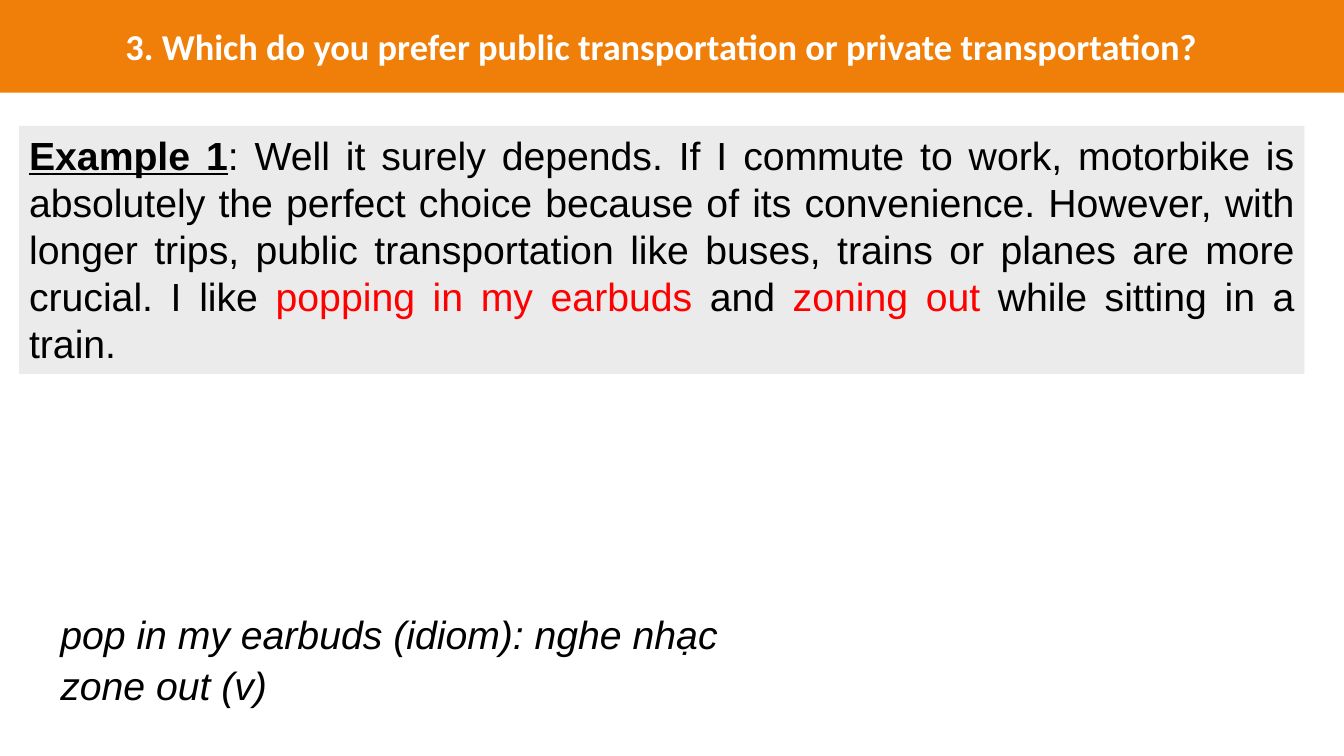
from dataclasses import dataclass

from pptx import Presentation
from pptx.dml.color import RGBColor
from pptx.enum.shapes import MSO_SHAPE
from pptx.enum.text import MSO_ANCHOR, MSO_AUTO_SIZE, PP_ALIGN
from pptx.shapes.autoshape import Shape
from pptx.slide import Slide
from pptx.util import Pt

RECTANGLE = MSO_SHAPE.RECTANGLE
TOP = MSO_ANCHOR.TOP
FIT_SHAPE = MSO_AUTO_SIZE.SHAPE_TO_FIT_TEXT
LEFT, CENTER, JUSTIFY = PP_ALIGN.LEFT, PP_ALIGN.CENTER, PP_ALIGN.JUSTIFY


@dataclass(frozen=True)
class Theme:
    orange: str = "F07F09"
    gray: str = "EBEBEB"
    white: str = "FFFFFF"
    black: str = "000000"
    red: str = "FF0000"
    heading_font: str = "Calibri"
    body_font: str = "Arial"
    heading_size: float = 26
    body_size: float = 28


THEME = Theme()


@dataclass(frozen=True)
class Box:
    left: float
    top: float
    width: float
    height: float

    def in_points(self) -> tuple[Pt, Pt, Pt, Pt]:
        return Pt(self.left), Pt(self.top), Pt(self.width), Pt(self.height)


@dataclass(frozen=True)
class Phrase:
    text: str
    color: str = THEME.black
    bold: bool = False
    underline: bool = False


@dataclass(frozen=True)
class Definition:
    text: str
    box: Box


HEADING = "3. Which do you prefer public transportation or private transportation?"
HEADING_BAND = Box(-14.4, -2.88, 974.4, 69.12)
HEADING_BOX = Box(-14.4, 13.68, 974.4, 38.88)
EXAMPLE_BOX = Box(13.68, 90, 918, 177.12)
EXAMPLE = [
    Phrase("Example 1", bold=True, underline=True),
    Phrase(
        ": Well it surely depends. If I commute to work, motorbike is absolutely "
        "the perfect choice because of its convenience. However, with longer trips, "
        "public transportation like buses, trains or planes are more crucial. I like "
    ),
    Phrase("popping in my earbuds ", THEME.red),
    Phrase("and "),
    Phrase("zoning out", THEME.red),
    Phrase(" while sitting in a train."),
]
DEFINITIONS = [
    Definition("pop in my earbuds (idiom): nghe nhạc", Box(36, 432.72, 490.32, 41.04)),
    Definition("zone out (v)", Box(36, 468.72, 164.16, 41.04)),
]


def add_panel(slide: Slide, box: Box, color: str) -> Shape:
    panel = slide.shapes.add_shape(RECTANGLE, *box.in_points())
    panel.shadow.inherit = False
    panel.fill.solid()
    panel.fill.fore_color.rgb = RGBColor.from_string(color)
    panel.line.fill.background()
    return panel


def write(
    holder: Shape,
    phrases: list[Phrase],
    *,
    font: str = THEME.body_font,
    size: float = THEME.body_size,
    align: PP_ALIGN = LEFT,
    italic: bool = False,
    wrap: bool = True,
) -> None:
    frame = holder.text_frame
    frame.word_wrap = wrap
    frame.auto_size = FIT_SHAPE
    frame.vertical_anchor = TOP
    paragraph = frame.paragraphs[0]
    paragraph.alignment = align
    for phrase in phrases:
        run = paragraph.add_run()
        run.text = phrase.text
        run.font.name = font
        run.font.size = Pt(size)
        run.font.bold = phrase.bold
        run.font.italic = italic
        run.font.underline = phrase.underline
        run.font.color.rgb = RGBColor.from_string(phrase.color)


def main() -> None:
    deck = Presentation()
    deck.slide_width, deck.slide_height = Pt(960), Pt(540)
    slide = deck.slides.add_slide(deck.slide_layouts[6])

    add_panel(slide, HEADING_BAND, THEME.orange)
    write(
        slide.shapes.add_textbox(*HEADING_BOX.in_points()),
        [Phrase(HEADING, THEME.white, bold=True)],
        font=THEME.heading_font,
        size=THEME.heading_size,
        align=CENTER,
    )
    for definition in DEFINITIONS:
        write(
            slide.shapes.add_textbox(*definition.box.in_points()),
            [Phrase(definition.text)],
            italic=True,
            wrap=False,
        )
    write(add_panel(slide, EXAMPLE_BOX, THEME.gray), EXAMPLE, align=JUSTIFY)

    deck.save("out.pptx")


if __name__ == "__main__":
    main()
